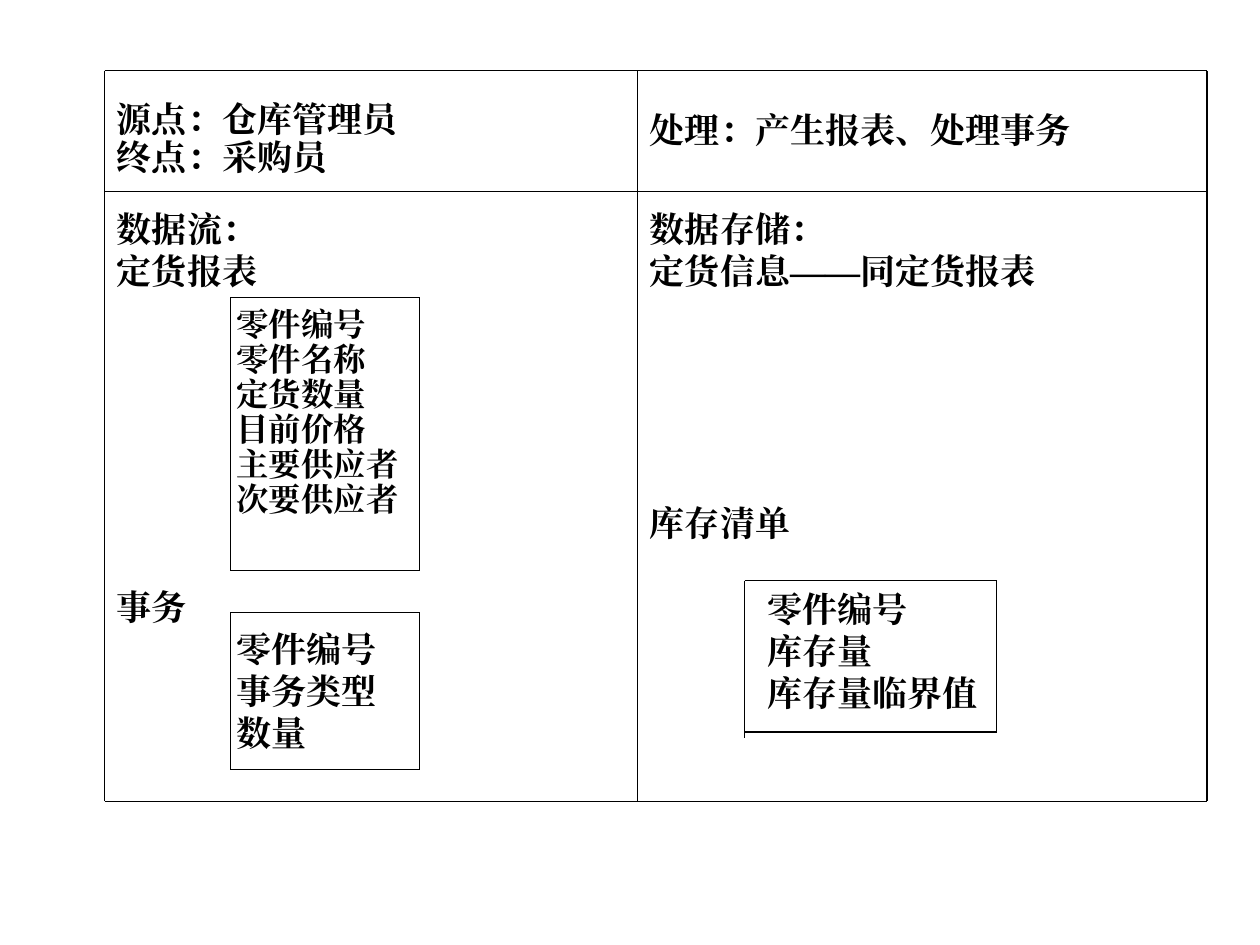
from lxml.etree import SubElement
from pptx import Presentation
from pptx.dml.color import RGBColor
from pptx.enum.shapes import MSO_CONNECTOR as Connector
from pptx.enum.text import MSO_ANCHOR as Anchor, PP_ALIGN as Align
from pptx.oxml.ns import qn
from pptx.util import Inches, Pt

THEME = {
    "ink": RGBColor(0, 0, 0),
    "font": "Times New Roman",
    "body": Pt(20),
    "small": Pt(18.5),
    "rule": Pt(0.75),
}
LEFT, MIDDLE, RIGHT = 0.83, 5.06, 9.58
TOP, HEADER_BOTTOM, BOTTOM = 0.56, 1.52, 6.36

FRAMES = [
    (LEFT, TOP, RIGHT, BOTTOM, BOTTOM),
    (1.83, 2.36, 3.33, 4.53, 4.53),
    (1.83, 4.86, 3.33, 6.11, 6.11),
    (5.91, 4.61, 7.91, 5.81, 5.86),
]
DIVIDERS = [
    (LEFT, HEADER_BOTTOM, RIGHT, HEADER_BOTTOM),
    (MIDDLE, TOP, MIDDLE, BOTTOM),
]

PLAIN = {}
TIGHT = {"line_spacing": 0.9}
SECTIONS = [
    ((LEFT, TOP, 4.24, 0.95), "body",
     [("源点：仓库管理员", {"line_spacing": 1.5}), ("终点：采购员", TIGHT)]),
    ((MIDDLE, 0.81, 4.51, 0.48), "body",
     [("处理：产生报表、处理事务", PLAIN)]),
    ((LEFT, 1.6, 4.24, 4.6), "body",
     [("数据流：", PLAIN), ("定货报表", PLAIN),
      ("事务", {"space_before": Pt(168)})]),
    ((1.78, 2.4, 2.05, 2.06), "small",
     [(field, TIGHT) for field in
      ("零件编号", "零件名称", "定货数量", "目前价格", "主要供应者", "次要供应者")]),
    ((1.78, 4.93, 2.05, 1.11), "body",
     [(field, PLAIN) for field in ("零件编号", "事务类型", "数量")]),
    ((MIDDLE, 1.6, 4.51, 4.76), "body",
     [("数据存储：", PLAIN), ("定货信息——同定货报表", PLAIN),
      ("库存清单", {"space_before": Pt(120)})]),
    ((5.99, 4.61, 2.32, 1.11), "body",
     [(field, PLAIN) for field in ("零件编号", "库存量", "库存量临界值")]),
]


def apply_format(target, values):
    for name, value in values.items():
        setattr(target, name, value)


def draw_rule(slide, ends):
    rule = slide.shapes.add_connector(Connector.STRAIGHT, *map(Inches, ends))
    rule.line.color.rgb = THEME["ink"]
    rule.line.width = THEME["rule"]
    SubElement(rule._element.spPr, qn("a:effectLst"))


def draw_frame(slide, left, top, right, bottom, left_end):
    for ends in (
        (left, top, right, top),
        (left, top, left, left_end),
        (right, top, right, bottom),
        (left, bottom, right, bottom),
    ):
        draw_rule(slide, ends)


def write_section(slide, place, size, entries):
    section = slide.shapes.add_textbox(*map(Inches, place)).text_frame
    apply_format(section, {"word_wrap": True, "vertical_anchor": Anchor.TOP})
    for index, (wording, spacing) in enumerate(entries):
        entry = section.add_paragraph() if index else section.paragraphs[0]
        apply_format(entry, {"alignment": Align.JUSTIFY, **spacing})
        run = entry.add_run()
        run.text = wording
        apply_format(run.font, {"name": THEME["font"], "size": THEME[size], "bold": True})
        run.font.color.rgb = THEME["ink"]
        SubElement(run.font._element, qn("a:ea"), typeface=THEME["font"])


def main():
    deck = Presentation()
    apply_format(deck, {"slide_width": Inches(10), "slide_height": Inches(7.5)})
    slide = deck.slides.add_slide(deck.slide_layouts[6])
    for frame in FRAMES:
        draw_frame(slide, *frame)
    for divider in DIVIDERS:
        draw_rule(slide, divider)
    for section in SECTIONS:
        write_section(slide, *section)
    deck.save("out.pptx")


if __name__ == "__main__":
    main()
